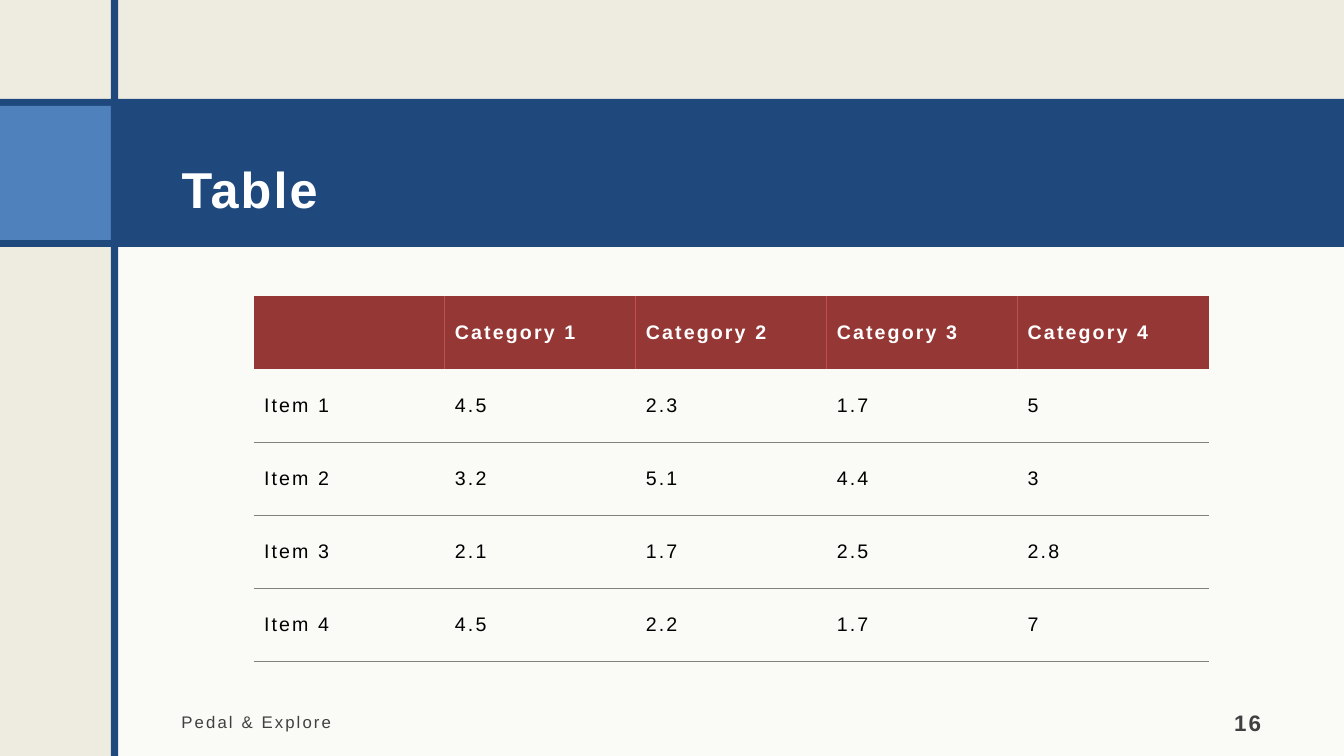
from dataclasses import dataclass

from lxml.etree import SubElement as Sub
from pptx import Presentation
from pptx.dml.color import RGBColor as RGB
from pptx.enum.shapes import MSO_SHAPE as Form
from pptx.enum.text import MSO_ANCHOR as Anchor, MSO_AUTO_SIZE as Fit, PP_ALIGN as Align
from pptx.oxml.ns import qn
from pptx.util import Pt

CREAM, NAVY, BLUE, WHITE = "EEECE1", "1F497D", "4F81BD", "FFFFFF"
BRICK, ROSE, GREY, DARK, BLACK = "953735", "C0504D", "808080", "404040", "000000"


@dataclass
class Box:
    x: float
    y: float
    w: float
    h: float

    def place(self, shape) -> None:
        shape.left, shape.top = Pt(self.x), Pt(self.y)
        shape.width, shape.height = Pt(self.w), Pt(self.h)


@dataclass
class Block:
    box: Box
    tone: str
    alpha: int = 100


@dataclass
class Style:
    size: float
    tone: str
    bold: bool = False
    align: Align = Align.LEFT
    anchor: Anchor = Anchor.MIDDLE


@dataclass
class Label:
    box: Box
    text: str
    style: Style


BLOCKS = [
    Block(Box(82, 168, 878, 372), WHITE, 75),
    Block(Box(0, 70.6, 960, 105.8), NAVY),
    Block(Box(0, 75.6, 79.2, 95.8), BLUE),
    Block(Box(79.3, 0, 5.1, 540), NAVY),
]
TITLE = Label(Box(121, 82, 788.4, 81.4), "Table", Style(36, WHITE, True))
LABELS = [
    Label(Box(121, 496.8, 451.4, 36), "Pedal & Explore", Style(12, DARK)),
    Label(Box(832.4, 496.8, 77, 36), "16",
          Style(16, DARK, True, Align.RIGHT, Anchor.BOTTOM)),
]
GRID = Box(181.4, 211.5, 682, 260.8)
HEAD, BODY = Style(14, WHITE, True), Style(14, BLACK)
ROWS = [
    ["", "Category 1", "Category 2", "Category 3", "Category 4"],
    ["Item 1", "4.5", "2.3", "1.7", "5"],
    ["Item 2", "3.2", "5.1", "4.4", "3"],
    ["Item 3", "2.1", "1.7", "2.5", "2.8"],
    ["Item 4", "4.5", "2.2", "1.7", "7"],
]
NO_GRID = "{2D5ABB26-0587-4C30-8999-92F81FD0307C}"


def paint(fill, tone: str) -> None:
    fill.solid()
    fill.fore_color.rgb = RGB.from_string(tone)


def write(frame, text: str, style: Style) -> None:
    frame.text = text
    para = frame.paragraphs[0]
    para.alignment = style.align
    font = para.font
    font.name, font.size, font.bold = "Arial", Pt(style.size), style.bold
    font.color.rgb = RGB.from_string(style.tone)
    font._element.set("spc", "150")


def draw_block(slide, block: Block) -> None:
    shape = slide.shapes.add_shape(Form.RECTANGLE, 0, 0, 0, 0)
    block.box.place(shape)
    shape.shadow.inherit = False
    shape.line.fill.background()
    paint(shape.fill, block.tone)
    if block.alpha < 100:
        tint = shape._element.spPr.find(".//" + qn("a:srgbClr"))
        Sub(tint, qn("a:alpha"), val=str(block.alpha * 1000))


def set_label(shape, label: Label) -> None:
    label.box.place(shape)
    frame = shape.text_frame
    frame.word_wrap, frame.auto_size = True, Fit.NONE
    frame.vertical_anchor = label.style.anchor
    frame.margin_left = frame.margin_right = frame.margin_top = Pt(8.64)
    frame.margin_bottom = Pt(7.2)
    write(frame, label.text, label.style)


def edge(cell, side: str, tone: str) -> None:
    line = Sub(cell._tc.get_or_add_tcPr(), qn("a:ln" + side), w=str(Pt(1)))
    Sub(Sub(line, qn("a:solidFill")), qn("a:srgbClr"), val=tone)


def draw_table(slide) -> None:
    count = len(ROWS[0])
    frame = slide.shapes.add_table(len(ROWS), count, Pt(GRID.x), Pt(GRID.y),
                                   Pt(GRID.w), Pt(GRID.h))
    table = frame.table
    table.horz_banding = False
    table._tbl.tblPr.find(qn("a:tableStyleId")).text = NO_GRID
    for r, row in enumerate(ROWS):
        for c, text in enumerate(row):
            cell = table.cell(r, c)
            cell.vertical_anchor = Anchor.MIDDLE
            write(cell.text_frame, text, BODY if r else HEAD)
            if r:
                edge(cell, "B", GREY)
                cell.fill.background()
                continue
            if c > 0:
                edge(cell, "L", ROSE)
            if c < count - 1:
                edge(cell, "R", ROSE)
            paint(cell.fill, BRICK)


def main() -> None:
    deck = Presentation()
    deck.slide_width, deck.slide_height = Pt(960), Pt(540)
    slide = deck.slides.add_slide(deck.slide_layouts[5])
    paint(slide.background.fill, CREAM)
    for block in BLOCKS:
        draw_block(slide, block)
    title = slide.shapes.title
    slide.shapes._spTree.append(title._element)
    set_label(title, TITLE)
    title.text_frame.paragraphs[0].line_spacing = 1.5
    for label in LABELS:
        set_label(slide.shapes.add_textbox(0, 0, 0, 0), label)
    draw_table(slide)
    deck.save("out.pptx")


if __name__ == "__main__":
    main()
